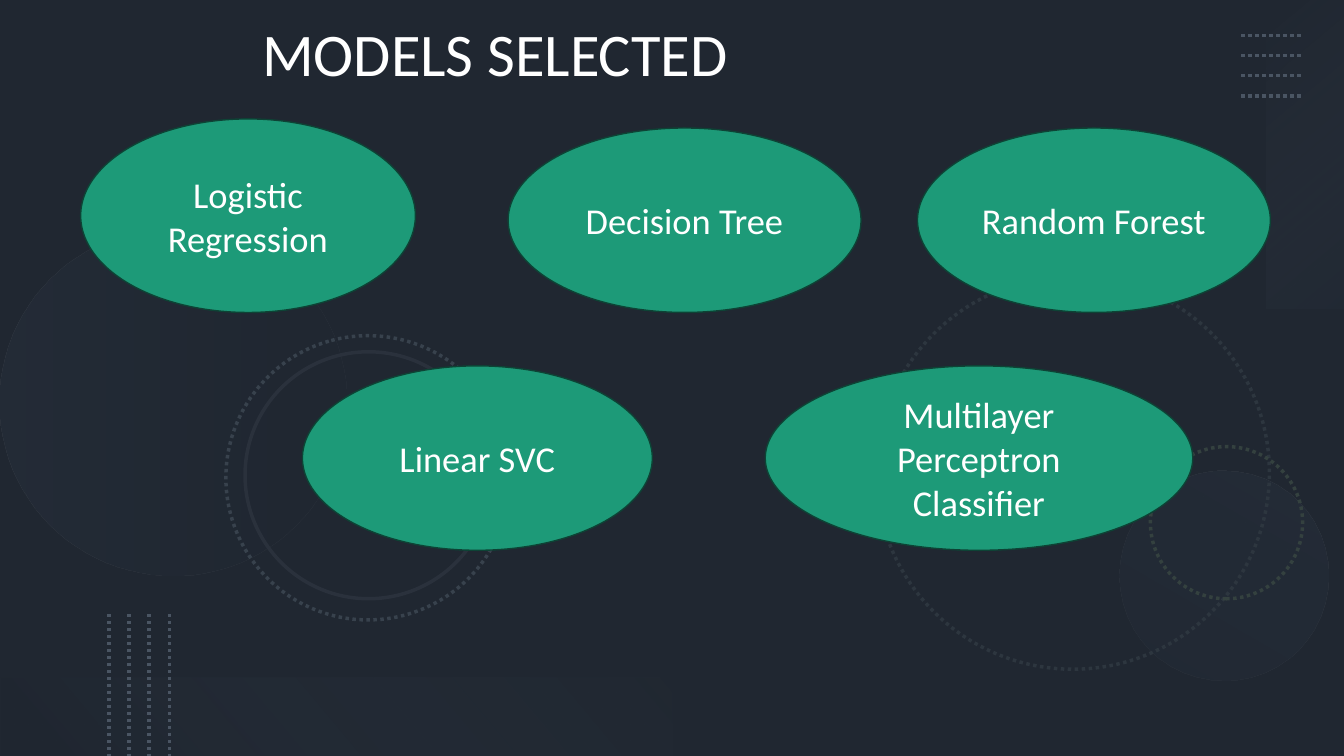
"""Builds the slide that lists the selected models."""
from dataclasses import dataclass

from lxml.etree import SubElement
from pptx import Presentation
from pptx.dml.color import RGBColor
from pptx.enum.dml import MSO_LINE
from pptx.enum.shapes import MSO_CONNECTOR, MSO_SHAPE as SHAPE
from pptx.enum.text import MSO_ANCHOR as ANCHOR, PP_ALIGN as ALIGN
from pptx.oxml.ns import qn
from pptx.util import Emu, Pt

EMU_PER_PX = 9144
WIDTH, HEIGHT = 1333, 750
FONT = "Calibri"
WHITE, GREEN, DARK_GREEN = "FFFFFF", "1D9A78", "0D4335"
SLATE, BLACK, DOT_GRAY = "44546A", "000000", "4A5563"
STROKE = 2.5


@dataclass(frozen=True)
class Box:
    left: int
    top: int
    width: int
    height: int


@dataclass(frozen=True)
class Stop:
    position: float
    color: str
    opacity: int


@dataclass(frozen=True)
class Glow:
    preset: SHAPE
    box: Box
    rotation: int
    angle: int
    stops: tuple[Stop, Stop]


@dataclass(frozen=True)
class Ring:
    left: int
    top: int
    size: int
    rotation: int
    color: str
    dotted: bool = True


@dataclass(frozen=True)
class Model:
    label: str
    box: Box


RINGS = (
    Ring(869, 274, 390, 75, "2D363F"),
    Ring(1141, 443, 151, 270, "34413F"),
    Ring(224, 333, 282, 75, "38424D"),
    Ring(243, 349, 245, 75, "2A313C", dotted=False),
)
GLOWS = (
    Glow(SHAPE.OVAL, Box(0, 227, 344, 344), 270, 90,
         (Stop(0, "333F50", 20), Stop(1, "222A35", 10))),
    Glow(SHAPE.OVAL, Box(1110, 467, 208, 208), 210, 90,
         (Stop(0, "333F50", 10), Stop(1, "333F50", 20))),
    Glow(SHAPE.RECTANGLE, Box(1142, 114, 306, 78), 270, 140,
         (Stop(0, "ADB9CA", 0), Stop(1, "333F50", 10))),
    Glow(SHAPE.RECTANGLE, Box(0, 672, 667, 78), 180, 140,
         (Stop(0.1, "222A35", 10), Stop(1, "8497B0", 0))),
)
MODELS = (
    Model("Logistic Regression", Box(80, 118, 332, 192)),
    Model("Decision Tree", Box(504, 127, 350, 183)),
    Model("Random Forest", Box(910, 127, 350, 183)),
    Model("Linear SVC", Box(300, 363, 347, 183)),
    Model("Multilayer Perceptron Classifier", Box(759, 363, 424, 183)),
)


def px(length: int) -> Emu:
    """Turn px into EMU."""
    return Emu(length * EMU_PER_PX)


def paint(color_format, color: str) -> None:
    """Set a colour from its hex string."""
    color_format.rgb = RGBColor.from_string(color)


def set_opacity(color_element, percent: int) -> None:
    """Add an opacity to a colour element."""
    SubElement(color_element, qn("a:alpha"), val=str(percent * 1000))


def add_preset(slide, preset: SHAPE, box: Box, rotation: int = 0):
    """Add a preset shape without shadow and line."""
    shape = slide.shapes.add_shape(
        preset, px(box.left), px(box.top), px(box.width), px(box.height))
    shape.shadow.inherit = False
    shape.rotation = rotation
    shape.line.fill.background()
    return shape


def stroke(line, color: str, width: float, dotted: bool = False) -> None:
    """Give a line its colour, width and dash."""
    line.fill.solid()
    paint(line.color, color)
    line.width = Pt(width)
    if dotted:
        line.dash_style = MSO_LINE.ROUND_DOT


def add_backdrop(slide, color: str, opacity: int) -> None:
    """Cover the whole slide with one colour."""
    backdrop = add_preset(slide, SHAPE.RECTANGLE, Box(0, 0, WIDTH, HEIGHT))
    backdrop.fill.solid()
    paint(backdrop.fill.fore_color, color)
    if opacity < 100:
        fill = backdrop.element.spPr.find(qn("a:solidFill"))
        set_opacity(fill[0], opacity)


def add_ring(slide, ring: Ring) -> None:
    """Draw an unfilled circle."""
    box = Box(ring.left, ring.top, ring.size, ring.size)
    circle = add_preset(slide, SHAPE.OVAL, box, ring.rotation)
    circle.fill.background()
    stroke(circle.line, ring.color, STROKE, ring.dotted)


def add_glow(slide, glow: Glow) -> None:
    """Draw a shape with a translucent gradient."""
    shape = add_preset(slide, glow.preset, glow.box, glow.rotation)
    shape.fill.gradient()
    shape.fill.gradient_angle = 360 - glow.angle
    for target, stop in zip(shape.fill.gradient_stops, glow.stops):
        target.position = stop.position
        paint(target.color, stop.color)
    elements = shape.element.spPr.iter(qn("a:srgbClr"))
    for element, stop in zip(list(elements), glow.stops):
        set_opacity(element, stop.opacity)


def add_dots(slide, left: int, top: int, right: int, bottom: int) -> None:
    """Draw a dotted straight line."""
    dots = slide.shapes.add_connector(
        MSO_CONNECTOR.STRAIGHT, px(left), px(top), px(right), px(bottom))
    stroke(dots.line, DOT_GRAY, STROKE, dotted=True)
    SubElement(dots.element.spPr, qn("a:effectLst"))


def write(shape, text: str, size: float, anchor: ANCHOR):
    """Write one centred line of white text and return its paragraph."""
    frame = shape.text_frame
    frame.word_wrap = True
    frame.vertical_anchor = anchor
    paragraph = frame.paragraphs[0]
    paragraph.alignment = ALIGN.CENTER
    run = paragraph.add_run()
    run.text = text
    run.font.name = FONT
    run.font.size = Pt(size)
    paint(run.font.color, WHITE)
    return paragraph


def add_model(slide, model: Model) -> None:
    """Draw a model as a labelled ellipse."""
    ellipse = add_preset(slide, SHAPE.OVAL, model.box)
    ellipse.fill.solid()
    paint(ellipse.fill.fore_color, GREEN)
    stroke(ellipse.line, DARK_GREEN, 1)
    write(ellipse, model.label, 26, ANCHOR.MIDDLE).space_after = Pt(10.6)


def main() -> None:
    """Build and save the slide."""
    deck = Presentation()
    deck.slide_width, deck.slide_height = px(WIDTH), px(HEIGHT)
    slide = deck.slides.add_slide(deck.slide_layouts[6])
    add_backdrop(slide, SLATE, 100)
    add_backdrop(slide, BLACK, 53)
    for glow in GLOWS:
        add_glow(slide, glow)
    for ring in RINGS:
        add_ring(slide, ring)
    for step in range(0, 80, 20):
        add_dots(slide, 108 + step, 609, 108 + step, HEIGHT)
        add_dots(slide, 1231, 35 + step, 1291, 35 + step)
    title = slide.shapes.add_textbox(px(91), px(18), px(800), px(76))
    write(title, "MODELS SELECTED", 43.2, ANCHOR.BOTTOM).line_spacing = 0.9
    for model in MODELS:
        add_model(slide, model)
    deck.save("out.pptx")


if __name__ == "__main__":
    main()
